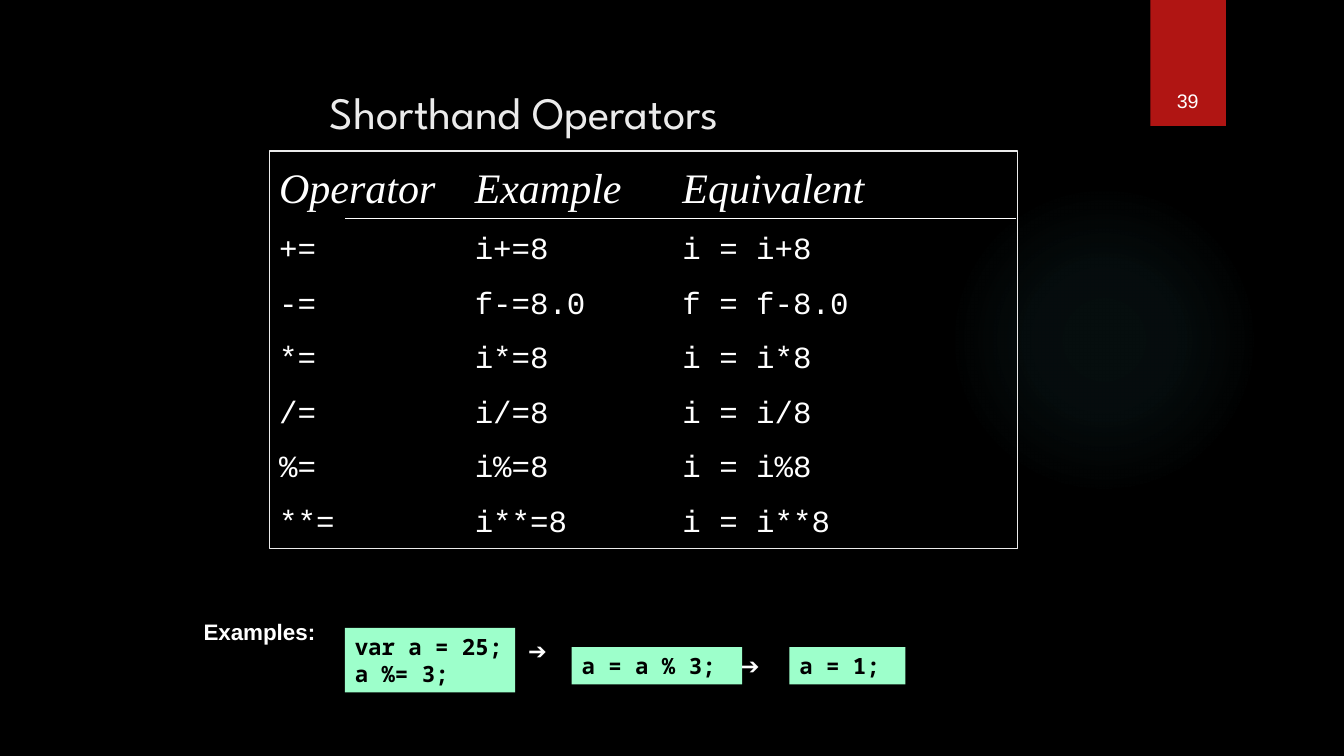
from dataclasses import dataclass

from pptx import Presentation
from pptx import oxml
from pptx import util as u
from pptx.dml.color import RGBColor
from pptx.enum import shapes, text
from pptx.oxml import ns

BLACK = RGBColor(0x00, 0x00, 0x00)
WHITE = RGBColor(0xFF, 0xFF, 0xFF)
PALE_GREY = RGBColor(0xEB, 0xEB, 0xEB)
RED = RGBColor(0xB0, 0x15, 0x13)
MINT = RGBColor(0x9D, 0xFF, 0xCB)
TEAL = RGBColor(0x50, 0xB9, 0xC1)

GLOW_STOPS = ((0, 7), (36, 6), (69, 0))
COLUMN_STOPS = (1.94, 4.0)
HEADINGS = ("Operator", "Example", "Equivalent")
OPERATORS = (
    ("+=", "i+=8", "i = i+8"),
    ("-=", "f-=8.0", "f = f-8.0"),
    ("*=", "i*=8", "i = i*8"),
    ("/=", "i/=8", "i = i/8"),
    ("%=", "i%=8", "i = i%8"),
    ("**=", "i**=8", "i = i**8"),
)


@dataclass(frozen=True)
class Box:
    left: float
    top: float
    width: float
    height: float

    def lengths(self):
        return [u.Inches(v) for v in (self.left, self.top, self.width, self.height)]


@dataclass(frozen=True)
class Step:
    box: Box
    lines: tuple[str, ...]


@dataclass(frozen=True)
class Label:
    box: Box
    words: str
    bold: bool = False


STEPS = (
    Step(Box(3.42, 6.23, 1.69, 0.64), ("var a = 25;", "a %= 3;")),
    Step(Box(5.67, 6.42, 1.69, 0.37), ("a = a % 3;",)),
    Step(Box(7.83, 6.42, 1.15, 0.37), ("a = 1;",)),
)
LABELS = (
    Label(Box(1.92, 6.08, 1.32, 0.37), "Examples:", bold=True),
    Label(Box(5.14, 6.27, 0.44, 0.37), "➔"),
    Label(Box(7.25, 6.42, 0.44, 0.37), "➔"),
)


def write(frame, words: str, *, font: str, size: float, color: RGBColor,
          bold: bool = False, italic: bool = False, before: float = 0,
          align=text.PP_ALIGN.LEFT, anchor=text.MSO_ANCHOR.TOP,
          stops: tuple[float, ...] = ()) -> None:
    frame.word_wrap = True
    frame.vertical_anchor = anchor
    paragraph = frame.add_paragraph() if frame.text else frame.paragraphs[0]
    paragraph.text = words
    paragraph.alignment = align
    paragraph.space_before = u.Pt(before)
    if stops:
        tabs = oxml.parse_xml(f"<a:tabLst {ns.nsdecls('a')}/>")
        for stop in stops:
            tab = tabs.makeelement(ns.qn("a:tab"), pos=str(u.Inches(stop)), algn="l")
            tabs.append(tab)
        paragraph._p.get_or_add_pPr().append(tabs)
    for run in paragraph.runs:
        run.font.name = font
        run.font.size = u.Pt(size)
        run.font.color.rgb = color
        run.font.bold = bold
        run.font.italic = italic


def add_panel(slide, box: Box, fill: RGBColor | None = None,
              line: RGBColor | None = None, kind=shapes.MSO_SHAPE.RECTANGLE):
    panel = slide.shapes.add_shape(kind, *box.lengths())
    panel.shadow.inherit = False
    if fill is None:
        panel.fill.background()
    else:
        panel.fill.solid()
        panel.fill.fore_color.rgb = fill
    if line is None:
        panel.line.fill.background()
    else:
        panel.line.color.rgb = line
        panel.line.width = u.Pt(1)
    return panel


def add_glow(slide) -> None:
    glow = add_panel(slide, Box(9.41, 1.83, 3.08, 3.08), kind=shapes.MSO_SHAPE.OVAL)
    stops = "".join(
        f'<a:gs pos="{place * 1000}"><a:srgbClr val="{TEAL}">'
        f'<a:alpha val="{opacity * 1000}"/></a:srgbClr></a:gs>'
        for place, opacity in GLOW_STOPS
    )
    gradient = oxml.parse_xml(
        f'<a:gradFill {ns.nsdecls("a")} rotWithShape="1"><a:gsLst>{stops}</a:gsLst>'
        '<a:path path="circle"><a:fillToRect l="50000" t="50000" r="50000" b="50000"/>'
        "</a:path></a:gradFill>"
    )
    properties = glow._element.spPr
    properties.replace(properties.find(ns.qn("a:noFill")), gradient)


def add_operators(slide) -> None:
    operators = add_panel(slide, Box(2.67, 1.5, 7.42, 3.94), line=PALE_GREY)
    frame = operators.text_frame
    frame.margin_top = u.Inches(0.1)
    write(frame, "\t".join(HEADINGS), font="Times New Roman", size=30,
          color=WHITE, italic=True, stops=COLUMN_STOPS)
    for row in OPERATORS:
        write(frame, "\t".join(row), font="Courier New", size=22,
              color=WHITE, before=12.5, stops=COLUMN_STOPS)
    rule = slide.shapes.add_connector(
        shapes.MSO_CONNECTOR.STRAIGHT,
        u.Inches(3.42), u.Inches(2.17), u.Inches(10.08), u.Inches(2.17))
    rule.line.color.rgb = WHITE
    rule.line.width = u.Pt(0.75)
    rule._element.spPr.append(oxml.parse_xml(f"<a:effectLst {ns.nsdecls('a')}/>"))


def add_examples(slide) -> None:
    for step in STEPS:
        code = add_panel(slide, step.box, fill=MINT)
        for line in step.lines:
            write(code.text_frame, line, font="Noto Sans Mono", size=16,
                  color=BLACK, bold=True)
    for label in LABELS:
        caption = slide.shapes.add_textbox(*label.box.lengths())
        write(caption.text_frame, label.words, font="Arial", size=16,
              color=WHITE, bold=label.bold)


def main() -> None:
    deck = Presentation()
    deck.slide_width, deck.slide_height = u.Inches(13.33), u.Inches(7.5)
    slide = deck.slides.add_slide(deck.slide_layouts[5])
    slide.background.fill.solid()
    slide.background.fill.fore_color.rgb = BLACK

    add_glow(slide)
    add_panel(slide, Box(11.41, 0, 0.75, 1.25), fill=RED)

    title = slide.shapes.title
    title.left, title.top, title.width, title.height = Box(3.17, 0.72, 8.5, 0.78).lengths()
    write(title.text_frame, "Shorthand Operators", font="League Spartan", size=32,
          color=PALE_GREY, anchor=text.MSO_ANCHOR.MIDDLE)

    page_number = slide.shapes.add_textbox(*Box(11.32, 0.32, 0.92, 0.84).lengths())
    write(page_number.text_frame, "39", font="Arial", size=14, color=WHITE,
          align=text.PP_ALIGN.CENTER, anchor=text.MSO_ANCHOR.BOTTOM)

    add_operators(slide)
    add_examples(slide)
    deck.save("out.pptx")


if __name__ == "__main__":
    main()
